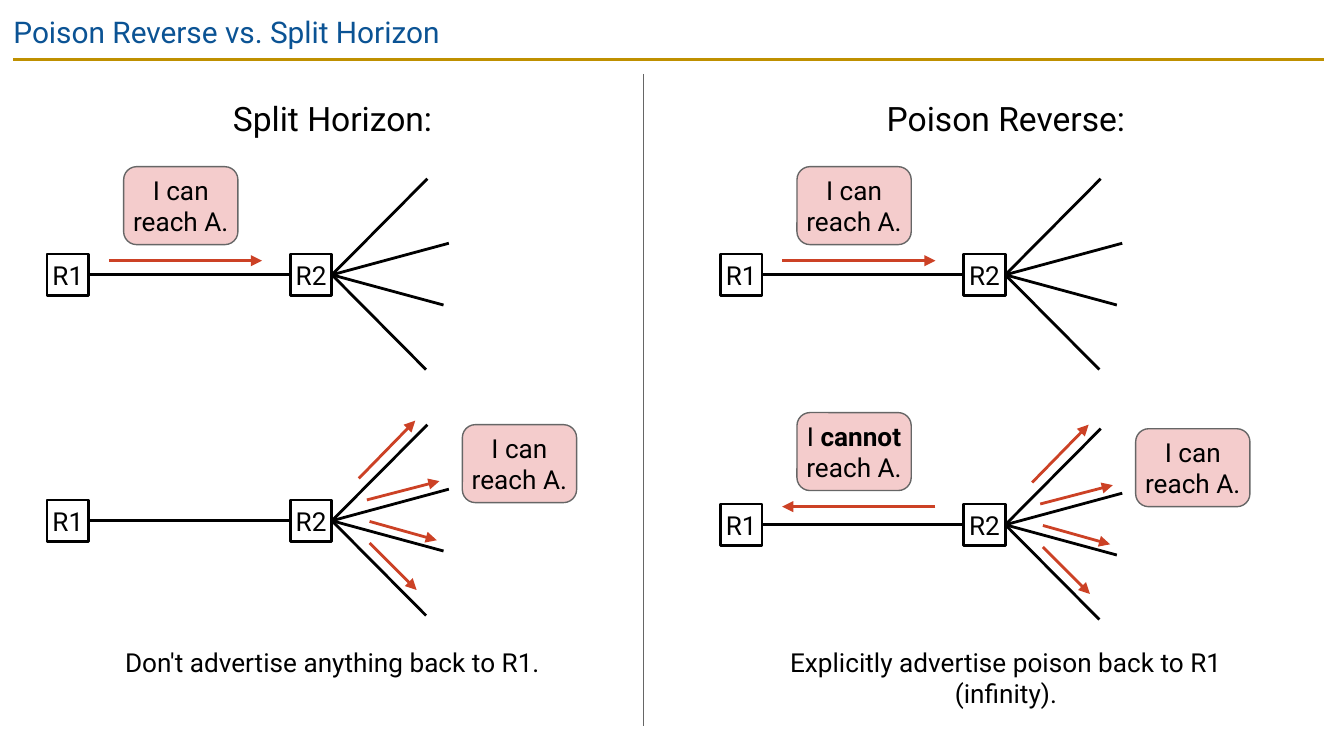
from lxml.etree import SubElement
from pptx import Presentation
from pptx.dml.color import RGBColor
from pptx.enum.shapes import MSO_CONNECTOR as Connector, MSO_SHAPE as Shape
from pptx.enum.text import MSO_ANCHOR as Anchor, MSO_AUTO_SIZE as AutoSize, PP_ALIGN as Align
from pptx.oxml.ns import qn
from pptx.util import Inches, Pt

COLORS = {"title": "0B5394", "rule": "BF9000", "ink": "000000", "advert": "CC4125",
          "bubble": "F4CCCC", "gray": "666666", "paper": "FFFFFF"}

TITLE = "Poison Reverse vs. Split Horizon"
REACH = [("I can reach A.", False)]
POISON = [("I ", False), ("cannot", True), (" reach A.", False)]

SIDES = [
    {"left": 0.35, "heading": "Split Horizon:", "height": 0.44,
     "caption": "Don't advertise anything back to R1.", "reply_top": 3.72, "reply": None},
    {"left": 5.36, "heading": "Poison Reverse:", "height": 0.67,
     "caption": "Explicitly advertise poison back to R1 (infinity).",
     "reply_top": 3.75, "reply": POISON},
]

PAGE_WIDTH = Inches(10)
PAGE_HEIGHT = PAGE_WIDTH * 9 // 16
ADVERT_TOP = 1.89
ROUTER = 0.31
R2_OFFSET = 1.81
BUBBLE = (0.85, 0.58)
SPOKE_ENDS = [(2.83, -0.56), (2.99, -0.08), (2.95, 0.38), (2.82, 0.86)]
FAN_ARROWS = [((2.32, -0.16), (2.74, -0.59)), ((2.38, 0), (2.92, -0.14)),
              ((2.4, 0.16), (2.9, 0.3)), ((2.4, 0.32), (2.75, 0.67))]

MARGINS = ("margin_left", "margin_top", "margin_right", "margin_bottom")
TEXT_FRAME = {"word_wrap": True, "auto_size": AutoSize.NONE, "vertical_anchor": Anchor.TOP,
              **dict.fromkeys(MARGINS, Inches(0.1))}
SHAPE_FRAME = {**TEXT_FRAME, "vertical_anchor": Anchor.MIDDLE, **dict.fromkeys(MARGINS, 0)}


def rgb(name):
    """Return the palette colour called name."""
    return RGBColor.from_string(COLORS[name])


def apply(target, values):
    """Set every attribute in values on target."""
    for name, value in values.items():
        setattr(target, name, value)


def write(box, spans, frame_format, size=14, color="ink", align=Align.CENTER):
    """Fill a box with one formatted paragraph of (text, bold) spans."""
    apply(box.text_frame, frame_format)
    para = box.text_frame.paragraphs[0]
    para.alignment = align
    for text, bold in spans:
        span = para.add_run()
        span.text = text
        apply(span.font, {"name": "Roboto", "size": Pt(size), "bold": bold})
        span.font.color.rgb = rgb(color)


def add_line(page, start, end, color="ink", width=1.5, arrow=False):
    """Draw a straight line, with an arrowhead at its end if asked."""
    line = page.shapes.add_connector(Connector.STRAIGHT, *map(Inches, (*start, *end)))
    line.line.color.rgb = rgb(color)
    line.line.width = Pt(width)
    if arrow:
        SubElement(line.line._get_or_add_ln(), qn("a:tailEnd"), type="triangle")
    SubElement(line._element.spPr, qn("a:effectLst"))


def add_node(page, kind, area, spans, fill, outline, width):
    """Draw a filled shape with centred text."""
    node = page.shapes.add_shape(kind, *map(Inches, area))
    node.shadow.inherit = False
    node.fill.solid()
    node.fill.fore_color.rgb = rgb(fill)
    node.line.color.rgb = rgb(outline)
    node.line.width = Pt(width)
    write(node, spans, SHAPE_FRAME)


def add_bubble(page, left, top, spans):
    """Draw a rounded message bubble."""
    add_node(page, Shape.ROUNDED_RECTANGLE, (left, top, *BUBBLE), spans,
             "bubble", "gray", 0.75)


def add_label(page, area, text, size):
    """Place a centred text box."""
    box = page.shapes.add_textbox(*map(Inches, area))
    write(box, [(text, False)], TEXT_FRAME, size)


def add_network(page, left, top):
    """Draw R1 linked to R2 and the spokes leaving R2."""
    middle = top + ROUTER / 2
    hub = left + R2_OFFSET + ROUTER
    add_line(page, (left + ROUTER, middle), (left + R2_OFFSET, middle))
    for x, y in SPOKE_ENDS:
        add_line(page, (hub, middle), (left + x, top + y))
    for name, offset in (("R1", 0), ("R2", R2_OFFSET)):
        add_node(page, Shape.RECTANGLE, (left + offset, top, ROUTER, ROUTER),
                 [(name, False)], "paper", "ink", 1.5)


def add_message(page, left, top, spans, back=False):
    """Draw a bubble and the arrow below it, toward R2 or back to R1."""
    ends = [(left + x, top + 0.7) for x in (0.46, 1.6)]
    add_line(page, *(reversed(ends) if back else ends), "advert", arrow=True)
    add_bubble(page, left + 0.57, top, spans)


def add_fan(page, left, top):
    """Draw the adverts that R2 sends along its spokes."""
    for start, end in FAN_ARROWS:
        add_line(page, *((left + x, top + y) for x, y in (start, end)), "advert", arrow=True)
    add_bubble(page, left + 3.09, top - 0.56, REACH)


def add_side(page, side):
    """Draw one half of the comparison."""
    left, reply_top = side["left"], side["reply_top"]
    text_left = left + ROUTER
    add_label(page, (text_left, 0.63, 3.63, 0.5), side["heading"], 18)
    add_network(page, left, ADVERT_TOP)
    add_message(page, left, ADVERT_TOP - 0.65, REACH)
    add_network(page, left, reply_top)
    add_fan(page, left, reply_top)
    if side["reply"]:
        add_message(page, left, reply_top - 0.68, side["reply"], back=True)
    add_label(page, (text_left, 4.71, 3.63, side["height"]), side["caption"], 14)


def main():
    """Build and save the deck."""
    deck = Presentation()
    apply(deck, {"slide_width": PAGE_WIDTH, "slide_height": PAGE_HEIGHT})
    page = deck.slides.add_slide(deck.slide_layouts[5])
    title = page.shapes.title
    apply(title, {"left": 0, "top": 0, "width": PAGE_WIDTH, "height": Inches(0.43)})
    write(title, [(TITLE, False)], TEXT_FRAME, 16, "title", Align.LEFT)
    add_line(page, (0.1, 0.44), (9.85, 0.44), "rule")
    for side in SIDES:
        add_side(page, side)
    add_line(page, (4.79, 0.55), (4.79, 5.4), "gray", 0.75)
    deck.save("out.pptx")


if __name__ == "__main__":
    main()
